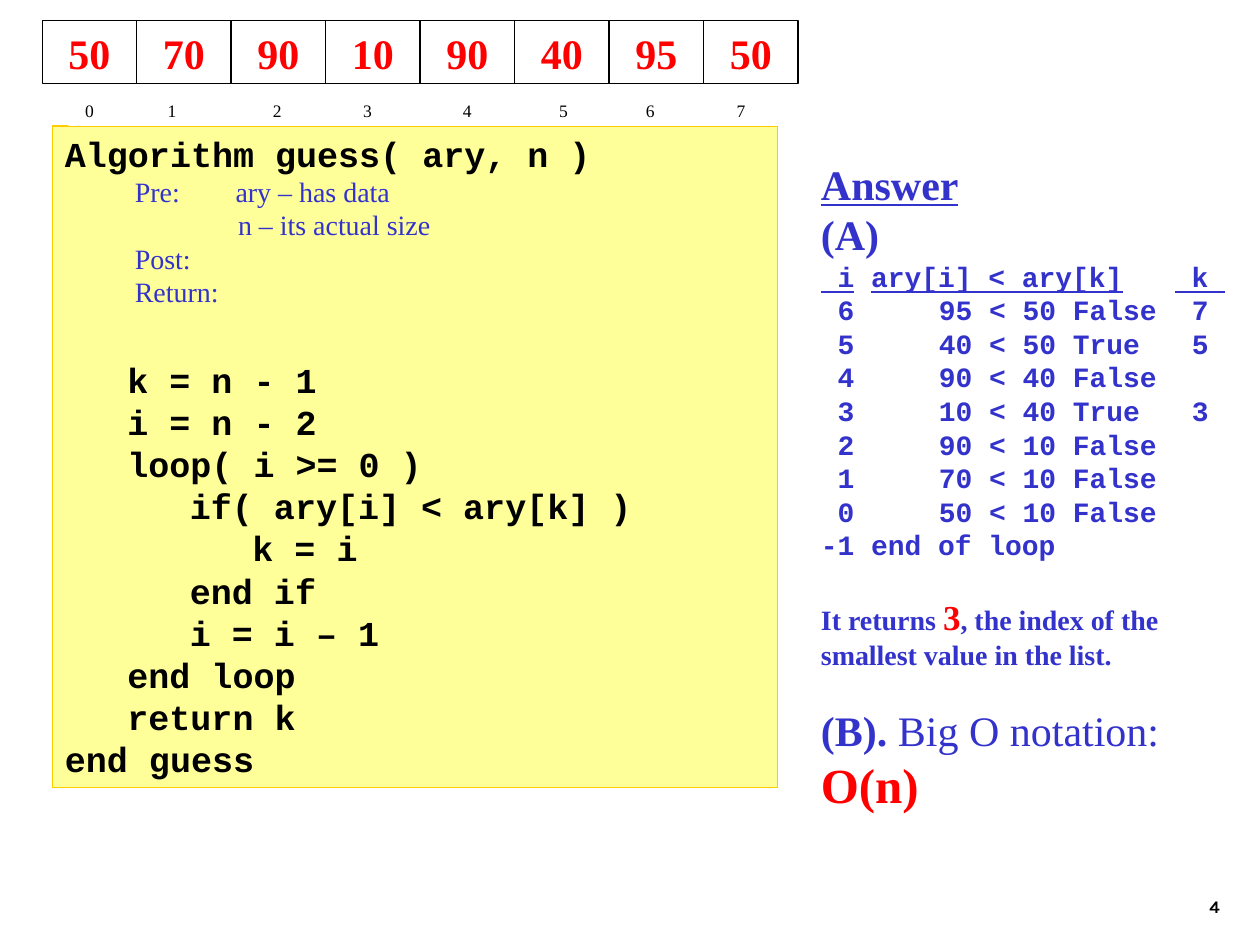
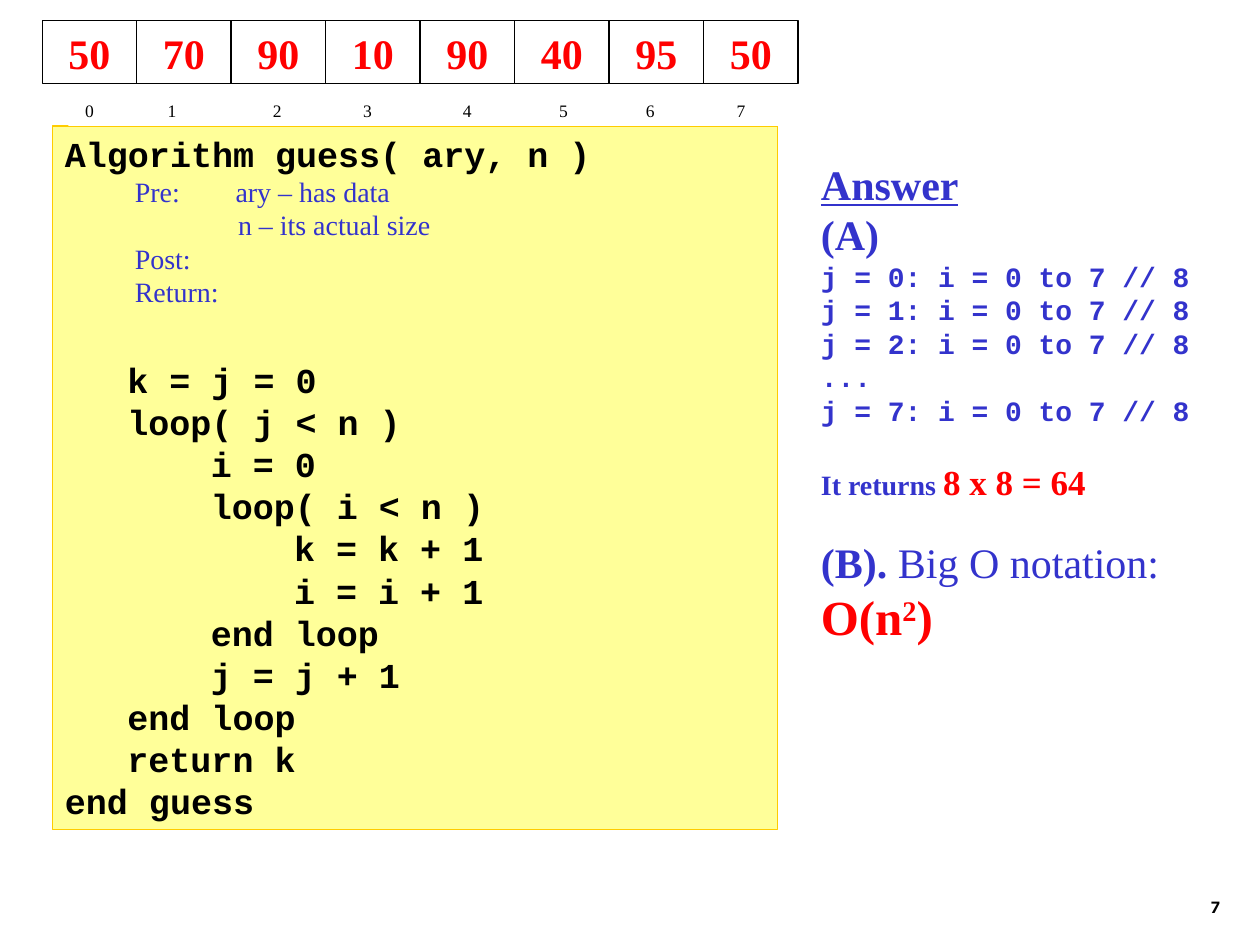
from pptx import Presentation
from pptx.dml.color import RGBColor
from pptx.enum import shapes, text
from pptx.util import Cm, Pt

# Shared look
BLACK = RGBColor(0x00, 0x00, 0x00)
WHITE = RGBColor(0xFF, 0xFF, 0xFF)
RED = RGBColor(0xFF, 0x00, 0x00)
BLUE = RGBColor(0x33, 0x33, 0xCC)
YELLOW = RGBColor(0xFF, 0xFF, 0x99)
GOLD = RGBColor(0xFF, 0xCC, 0x00)
SERIF, MONO, NUMBER = "Times New Roman", "Courier New", "Karla"
LINE_FACTOR = 1.2                  # line height per point of text
CODE_CHAR, TRACE_CHAR = 0.42, 0.34  # width of one fixed-pitch letter, cm

# Content shared by both slides
ARRAY = [50, 70, 90, 10, 90, 40, 95, 50]
INDEX_STOPS = [1.75, 3.87, 5.69, 7.7, 9.64, 11.39, 13.22]
HEADER = "Algorithm guess( ary, n )"
# Text, left edge of the body, hanging part (cm)
CONDITIONS = [
    ("Pre:\tary – has data", 3.44, 2.03),
    ("n – its actual size", 3.49, 0),
    ("Post:", 1.41, 0),
    ("Return:", 1.41, 0),
]

# Content of each slide; a run is (text, format changes)
SLIDES = [
    {
        "number": "4",
        "code": [
            "   k = n - 1",
            "   i = n - 2",
            "   loop( i >= 0 )",
            "      if( ary[i] < ary[k] )",
            "         k = i",
            "      end if",
            "      i = i – 1",
            "   end loop",
            "   return k",
            "end guess",
        ],
        "trace": [
            [(" i", {"underline": True}), (" ", {}),
             ("ary[i] < ary[k]\t", {"underline": True}), (" ", {}),
             (" k ", {"underline": True})],
            " 6\t95 < 50 False\t7",
            " 5\t40 < 50 True\t5",
            " 4\t90 < 40 False",
            " 3\t10 < 40 True\t3",
            " 2\t90 < 10 False",
            " 1\t70 < 10 False",
            " 0\t50 < 10 False",
            "-1 end of loop",
        ],
        "result": [("3", {"size": 20, "color": RED}),
                   (", the index of the smallest value in the list.", {})],
        "big_o": [("O(n)", {})],
        "answer_height": 13.46,
    },
    {
        "number": "7",
        "code": [
            "   k = j = 0",
            "   loop( j < n )",
            "       i = 0",
            "       loop( i < n )",
            "           k = k + 1",
            "           i = i + 1",
            "       end loop",
            "       j = j + 1",
            "   end loop",
            "   return k",
            "end guess",
        ],
        "trace": [
            "j = 0: i = 0 to 7 // 8",
            "j = 1: i = 0 to 7 // 8",
            "j = 2: i = 0 to 7 // 8",
            "...",
            "j = 7: i = 0 to 7 // 8",
        ],
        "result": [("8 x 8 = 64", {"size": 20, "color": RED})],
        "big_o": [("O(n", {}), ("2", {"raised": True}), (")", {})],
        "answer_height": 10.08,
    },
]


def add_run(p, words, size, color, font=SERIF, bold=True, underline=False, raised=False):
    r = p.add_run()
    r.text = words
    r.font.size, r.font.name = Pt(size), font
    r.font.bold, r.font.underline = bold, underline
    r.font.color.rgb = color
    if raised:
        r._r.get_or_add_rPr().set("baseline", "30000")


def add_paragraph(tf, runs, size, before=0, align=text.PP_ALIGN.LEFT, **look):
    """Add a paragraph of plain text or runs, using the first empty one."""
    p = tf.paragraphs[0]
    if p.runs:
        p = tf.add_paragraph()
    p.alignment = align
    p.line_spacing = Pt(size * LINE_FACTOR)
    p.space_before = Pt(before)
    for words, changes in ([(runs, {})] if isinstance(runs, str) else runs):
        add_run(p, words, **{"size": size, **look, **changes})
    return p


def set_indent(p, left, hanging=0):
    pPr = p._p.get_or_add_pPr()
    pPr.set("marL", str(Cm(left)))
    pPr.set("indent", str(-Cm(hanging)))


def set_tabs(p, stops):
    pPr = p._p.get_or_add_pPr()
    tabs = pPr.makeelement(pPr.tag.replace("pPr", "tabLst"), {})
    for stop in stops:
        tab = tabs.makeelement(pPr.tag.replace("pPr", "tab"),
                               {"pos": str(Cm(stop)), "algn": "l"})
        tabs.append(tab)
    pPr.append(tabs)


def add_box(parent, left, top, width, height, fill=None, line=None,
            anchor=text.MSO_ANCHOR.TOP, wrap=True):
    sp = parent.add_shape(shapes.MSO_SHAPE.RECTANGLE,
                          Cm(left), Cm(top), Cm(width), Cm(height))
    sp.shadow.inherit = False
    if fill is None:
        sp.fill.background()
    else:
        sp.fill.solid()
        sp.fill.fore_color.rgb = fill
    if line is None:
        sp.line.fill.background()
    else:
        sp.line.color.rgb = line
        sp.line.width = Pt(0.75)
    sp.text_frame.vertical_anchor = anchor
    sp.text_frame.word_wrap = wrap
    return sp.text_frame


def add_text_box(s, left, top, width, height):
    tf = s.shapes.add_textbox(Cm(left), Cm(top), Cm(width), Cm(height)).text_frame
    tf.word_wrap = True
    return tf


def add_number(s, number):
    tf = add_text_box(s, 19.56, 17.35, 5.28, 1.27)
    tf.vertical_anchor = text.MSO_ANCHOR.BOTTOM
    add_paragraph(tf, number, 10, align=text.PP_ALIGN.RIGHT, color=BLACK, font=NUMBER)


def add_algorithm(s, code):
    height = 4.84 + 0.85 * len(code)
    tf = add_box(s.shapes, 1.06, 2.54, 14.61, height, YELLOW, GOLD)
    add_paragraph(tf, HEADER, 20, color=BLACK, font=MONO)
    for words, left, hanging in CONDITIONS:
        p = add_paragraph(tf, words, 16, color=BLUE, bold=False)
        set_indent(p, left, hanging)
    for i, line in enumerate(code):
        words = line.lstrip()
        p = add_paragraph(tf, words, 20, before=0 if i else 28.8, color=BLACK, font=MONO)
        set_indent(p, CODE_CHAR * (len(line) - len(words)))


def add_array(s):
    group = s.shapes.add_group_shape().shapes
    cell = 1.905
    for i, value in enumerate(ARRAY):
        tf = add_box(group, 0.85 + i * cell, 0.42, cell, 1.27, line=BLACK,
                     anchor=text.MSO_ANCHOR.MIDDLE, wrap=False)
        add_paragraph(tf, str(value), 24, align=text.PP_ALIGN.CENTER, color=RED)
    # Index strip below the cells
    tf = add_box(group, 1.38, 1.9, 14.71, 0.64, WHITE)
    indexes = " " + "\t".join(str(i) for i in range(len(ARRAY)))
    set_tabs(add_paragraph(tf, indexes, 10, color=BLACK, bold=False), INDEX_STOPS)


def add_answer(s, slide):
    tf = add_text_box(s, 16.3, 3.07, 8.69, slide["answer_height"])
    add_paragraph(tf, "Answer", 24, color=BLUE, underline=True)
    add_paragraph(tf, "(A)", 24, color=BLUE)
    for row in slide["trace"]:
        p = add_paragraph(tf, row, 16, color=BLUE, font=MONO)
        set_tabs(p, [TRACE_CHAR * n for n in ((7, 22) if isinstance(row, str) else (20,))])
    add_paragraph(tf, [("It returns ", {})] + slide["result"], 16, before=24, color=BLUE)
    # The cost stands on a line of its own
    p = add_paragraph(tf, [("(B). ", {"size": 24}),
                           ("Big O notation: ", {"size": 24, "bold": False})],
                      28, before=14.4, color=BLUE)
    p.add_line_break()
    for words, changes in slide["big_o"]:
        add_run(p, words, 28, RED, **changes)


def main():
    prs = Presentation()
    prs.slide_width, prs.slide_height = Cm(25.4), Cm(19.05)
    for slide in SLIDES:
        s = prs.slides.add_slide(prs.slide_layouts[6])
        add_number(s, slide["number"])
        add_algorithm(s, slide["code"])
        add_array(s)
        add_answer(s, slide)
    prs.save("out.pptx")


if __name__ == "__main__":
    main()
